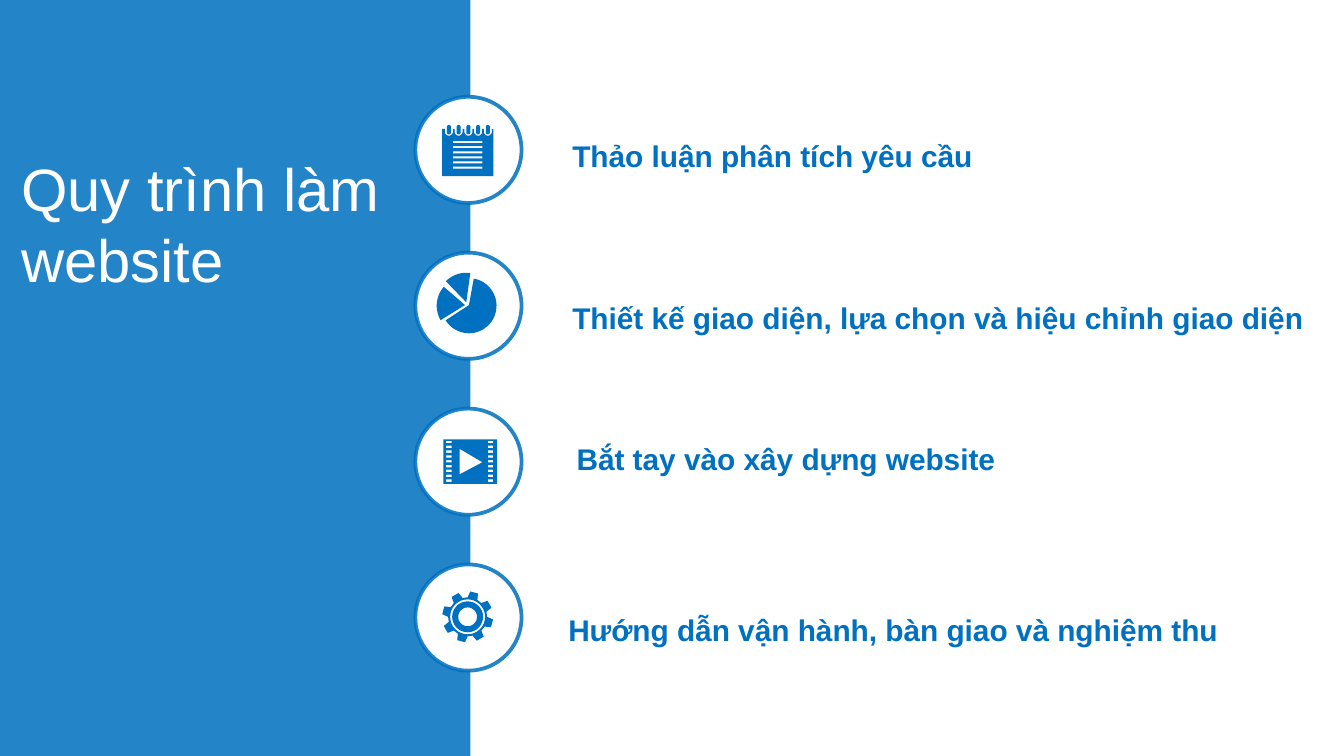
from math import cos, radians, sin

from lxml import etree
from pptx import Presentation
from pptx import util as u
from pptx.dml.color import RGBColor
from pptx.enum import shapes, text
from pptx.oxml.ns import qn

BLUE = RGBColor(0x00, 0x70, 0xC0)
WHITE = RGBColor(0xFF, 0xFF, 0xFF)
FONT = "Arial"
WIDE = 10
HIGH = WIDE * 9 / 16


def fade(fill, percent):
    """Make a solid colour partly transparent."""
    color = fill._xPr.find(qn("a:solidFill"))[0]
    etree.SubElement(color, qn("a:alpha"), val=str(percent * 1000))


def paint(shape, color):
    """Give a shape a plain fill with no line or shadow."""
    shape.shadow.inherit = False
    shape.fill.solid()
    shape.fill.fore_color.rgb = color
    shape.line.fill.background()


def rect(x, y, w, h):
    """Return the corners of a rectangle."""
    return [(x, y), (x + w, y), (x + w, y + h), (x, y + h)]


def arc(x, y, r, start=0, end=360):
    """Return points along an arc, with angles in degrees."""
    steps = 32
    turns = [radians(start + (end - start) * i / steps) for i in range(steps + 1)]
    return [(x + r * cos(t), y + r * sin(t)) for t in turns]


def notepad():
    """Return the outlines of a ringed notepad."""
    mids = [0.05 + 0.0725 * i for i in range(5)]
    body = [(0, 0.03)]
    for mid in mids:
        body += [(mid - 0.03, 0.03), *arc(mid, 0.05, 0.03, 180, 0), (mid + 0.03, 0.03)]
    body += [(0.38, 0.03), (0.38, 0.38), (0, 0.38)]
    rings = [arc(m, 0.015, 0.015, 180, 360) + arc(m, 0.055, 0.015, 0, 180) for m in mids]
    rules = [rect(0.08, 0.12 + 0.038 * i, 0.22, 0.015) for i in range(6)]
    return [body, *rings, *rules]


def pie():
    """Return the outlines of three pie slices."""
    return [
        [(0.21, 0.24), *arc(0.215, 0.245, 0.215, 150, 221)],
        [(0.24, 0.24), *arc(0.24, 0.245, 0.205, -80, 148)],
        [(0.22, 0.22), *arc(0.22, 0.215, 0.215, 225, 278)],
    ]


def film():
    """Return the outlines of a film frame with a play sign."""
    holes = [rect(x, 0.01 + 0.036 * i, 0.04, 0.018) for x in (0.02, 0.33) for i in range(9)]
    play = [(0.12, 0.07), (0.12, 0.26), (0.29, 0.17)]
    return [rect(0, 0, 0.4, 0.33), play, *holes]


def gear():
    """Return the outlines of a gear with eight teeth."""
    mid, teeth = 0.19, []
    for i in range(8):
        for turn, r in ((-15, 0.145), (-9, 0.19), (9, 0.19), (15, 0.145)):
            angle = radians(45 * i - 75 + turn)
            teeth.append((mid + r * cos(angle), mid + r * sin(angle)))
    return [teeth] + [arc(mid, mid, r) for r in (0.13, 0.115, 0.07)]


def icon(slide, x, y, parts):
    """Draw closed outlines as one blue shape."""
    def place(points):
        return [(u.Inches(x + a), u.Inches(y + b)) for a, b in points]

    first, *rest = [place(part) for part in parts]
    pen = slide.shapes.build_freeform(*first[0])
    pen.add_line_segments(first[1:])
    for part in rest:
        pen.move_to(*part[0])
        pen.add_line_segments(part[1:])
    paint(pen.convert_to_shape(), BLUE)


def label(slide, box, words, size, color, bold=False):
    """Write one run of wrapped text in a box."""
    frame = slide.shapes.add_textbox(*map(u.Inches, box)).text_frame
    frame.word_wrap = True
    frame.vertical_anchor = text.MSO_ANCHOR.MIDDLE
    run = frame.paragraphs[0].add_run()
    run.text = words
    font = run.font
    font.name, font.size, font.bold = FONT, u.Pt(size), bold
    font.color.rgb = color


def panel(slide, x, y, w, h):
    """Draw the side panel and its title."""
    side = slide.shapes.add_shape(
        shapes.MSO_SHAPE.RECTANGLE, *map(u.Inches, (x, y, w, h)))
    paint(side, BLUE)
    fade(side.fill, 86)
    box = (x + 0.06, y + 1.03, 3.23, 1.26)
    label(slide, box, "Quy trình làm website", 32, WHITE)


def step(slide, x, y, mark, dx, dy, words, left, top):
    """Draw a ringed icon with its label beside it."""
    ring = slide.shapes.add_shape(
        shapes.MSO_SHAPE.OVAL, *map(u.Inches, (x, y, 0.79, 0.79)))
    paint(ring, WHITE)
    ring.line.color.rgb = BLUE
    ring.line.width = u.Pt(2)
    fade(ring.line.fill, 85)
    icon(slide, x + dx, y + dy, mark())
    label(slide, (x + left, y + top, 5.75, 0.37), words, 16, BLUE, True)


def main():
    """Build and save the slide."""
    deck = Presentation()
    deck.slide_width, deck.slide_height = u.Inches(WIDE), u.Inches(HIGH)
    slide = deck.slides.add_slide(deck.slide_layouts[6])
    panel(slide, 0, 0, 3.5, HIGH)
    steps = [
        (notepad, 0.2, 0.21, "Thảo luận phân tích yêu cầu", 1.07, 0.25),
        (pie, 0.16, 0.15, "Thiết kế giao diện, lựa chọn và hiệu chỉnh giao diện", 1.07, 0.3),
        (film, 0.21, 0.23, " Bắt tay vào xây dựng website", 1.04, 0.19),
        (gear, 0.2, 0.2, "Hướng dẫn vận hành, bàn giao và nghiệm thu", 1.04, 0.3),
    ]
    for i, parts in enumerate(steps):
        step(slide, 3.09, 0.72 + 1.16 * i, *parts)
    deck.save("out.pptx")


if __name__ == "__main__":
    main()
